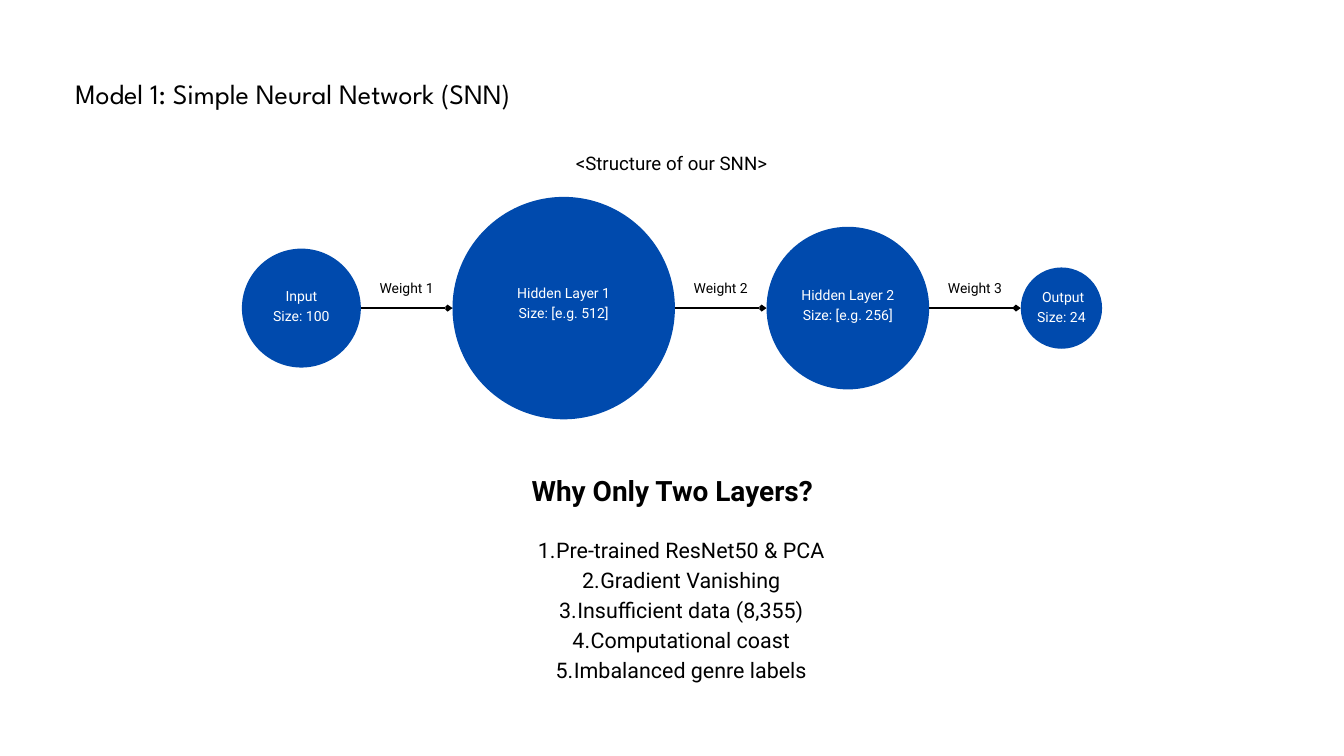
from dataclasses import dataclass
from lxml.etree import SubElement
from pptx import Presentation
from pptx.dml.color import RGBColor
from pptx.enum.shapes import MSO_CONNECTOR, MSO_SHAPE
from pptx.enum.text import MSO_ANCHOR, PP_ALIGN
from pptx.oxml.ns import qn
from pptx.util import Inches, Pt


@dataclass(frozen=True)
class Theme:
    """Colours, fonts and type sizes of the slide."""
    blue: RGBColor = RGBColor(0x00, 0x4A, 0xAD)
    black: RGBColor = RGBColor(0, 0, 0)
    white: RGBColor = RGBColor(255, 255, 255)
    display: str = "League Spartan"
    body: str = "Roboto"
    title: float = 30
    list: float = 23
    caption: float = 20
    node: float = 15
    label: float = 14.9
    leading: float = 1.4


THEME = Theme()
LAYERS = [
    ("Input\nSize: 100", 1.77),
    ("Hidden Layer 1\nSize: [e.g. 512]", 3.31),
    ("Hidden Layer 2\nSize: [e.g. 256]", 2.42),
    (" Output\nSize: 24", 1.21),
]
REASONS = [
    "Pre-trained ResNet50 & PCA",
    "Gradient Vanishing",
    "Insufficient data (8,355)",
    "Computational coast",
    "Imbalanced genre labels",
]


def style(frame, size, color=THEME.black, font=THEME.body, bold=False, align=PP_ALIGN.CENTER):
    """Format every paragraph of a text frame."""
    for para in frame.paragraphs:
        para.alignment = align
        para.line_spacing = Pt(round(size * THEME.leading, 1))
        for run in para.runs:
            run.font.size = Pt(size)
            run.font.name = font
            run.font.bold = bold
            run.font.color.rgb = color


def inset(frame, bottom=0):
    """Wrap the text and clear the margins, save for the bottom one."""
    frame.word_wrap = True
    frame.margin_left = frame.margin_top = frame.margin_right = 0
    frame.margin_bottom = Inches(bottom)


def add_text(slide, box, text, size, **look):
    """Place a styled text box and return its frame."""
    frame = slide.shapes.add_textbox(*map(Inches, box)).text_frame
    inset(frame)
    frame.text = text
    style(frame, size, **look)
    return frame


def add_node(slide, box, text):
    """Draw one layer as a circle with its text a little above the middle."""
    node = slide.shapes.add_shape(MSO_SHAPE.OVAL, *map(Inches, box))
    node.shadow.inherit = False
    node.fill.solid()
    node.fill.fore_color.rgb = THEME.blue
    node.line.fill.background()
    frame = node.text_frame
    inset(frame, 0.06 * box[3])
    frame.vertical_anchor = MSO_ANCHOR.MIDDLE
    frame.text = text
    style(frame, THEME.node, THEME.white)


def add_arrow(slide, left, right, y):
    """Draw a level arrow from left to right."""
    ends = map(Inches, (left, y, right, y))
    arrow = slide.shapes.add_connector(MSO_CONNECTOR.STRAIGHT, *ends)
    arrow.line.color.rgb = THEME.black
    arrow.line.width = Pt(3)
    SubElement(arrow.line._get_or_add_ln(), qn("a:tailEnd"), type="arrow", w="sm", len="sm")
    SubElement(arrow._element.spPr, qn("a:effectLst"))


def add_network(slide, box):
    """Spread the layers over the box with equal gaps and weighted arrows."""
    left, top, width, height = box
    mid = top + height / 2
    gap = (width - sum(size for _, size in LAYERS)) / (len(LAYERS) - 1)
    for index, (text, size) in enumerate(LAYERS):
        if index:
            add_arrow(slide, left, left + gap, mid)
            add_text(slide, (left, mid - 0.46, gap, 0.29), f"Weight {index}", THEME.label)
            left += gap
        add_node(slide, (left, mid - size / 2, size, size), text)
        left += size


def add_reasons(slide, box):
    """Write the heading and the numbered reasons below it."""
    left, top, width, height = box
    add_text(slide, (left, top, width, 0.56), "Why Only Two Layers?", THEME.title, bold=True)
    frame = add_text(slide, (left + 0.97, top + 0.97, width - 1.94, height - 0.97),
                     "\n".join(REASONS), THEME.list)
    for para in frame.paragraphs:
        para.level = 1
        props = para._p.get_or_add_pPr()
        props.set("marL", str(Inches(0.54)))
        props.set("indent", str(Inches(-0.27)))
        SubElement(props, qn("a:buAutoNum"), type="arabicPeriod")


def main():
    """Build and save the slide."""
    deck = Presentation()
    deck.slide_width, deck.slide_height = Inches(20), Inches(11.25)
    slide = deck.slides.add_slide(deck.slide_layouts[6])
    add_text(slide, (1.12, 1.05, 9.15, 0.57), "Model 1: Simple Neural Network (SNN)",
             THEME.title, font=THEME.display, align=PP_ALIGN.LEFT)
    add_text(slide, (8.13, 2.2, 3.73, 0.36), "<Structure of our SNN>", THEME.caption)
    add_network(slide, (3.6, 2.93, 12.8, 3.31))
    add_reasons(slide, (5.66, 6.96, 8.69, 3.17))
    deck.save("out.pptx")


if __name__ == "__main__":
    main()
